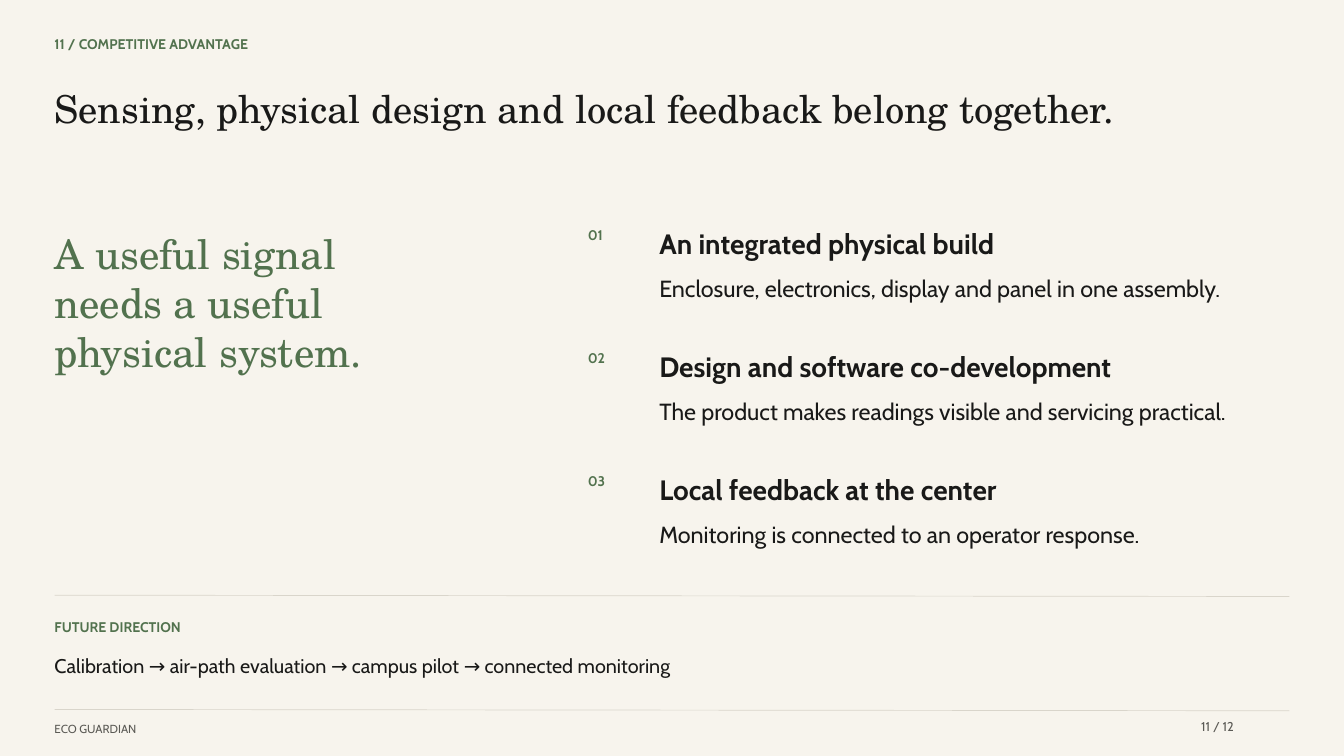
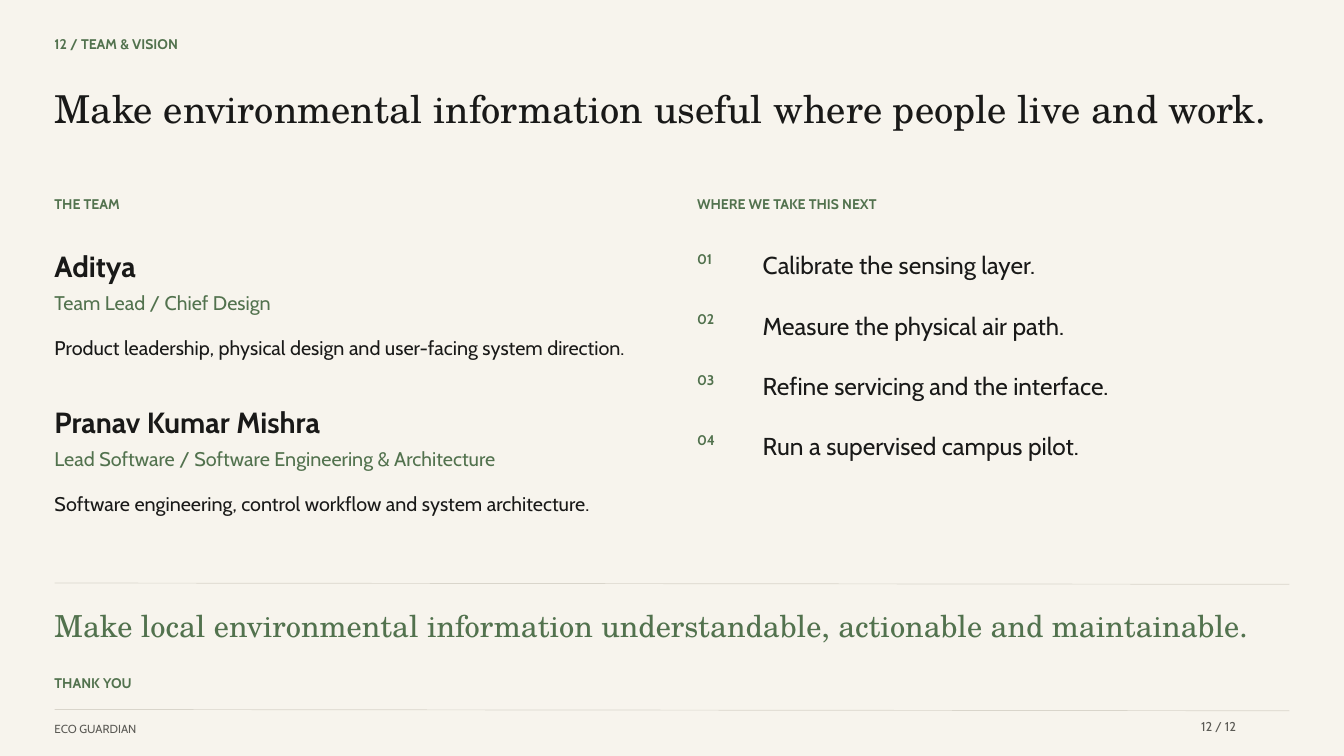
from dataclasses import dataclass

from lxml.etree import SubElement
from pptx import Presentation
from pptx.dml.color import RGBColor
from pptx.enum.shapes import MSO_CONNECTOR as Connector
from pptx.enum.text import MSO_ANCHOR as Anchor, MSO_AUTO_SIZE as AutoSize, PP_ALIGN as Align
from pptx.oxml.ns import qn
from pptx.util import Cm, Pt


@dataclass(frozen=True)
class Style:
    """Typeface, size, line spacing, colour and weight of a kind of text."""
    font: str
    size: float
    leading: float
    color: RGBColor
    bold: bool = False


class Theme:
    """Colours, type styles and shared edges of the deck."""
    PAPER = RGBColor.from_string("F7F4ED")
    INK = RGBColor.from_string("191918")
    GREEN = RGBColor.from_string("52724E")
    GREY = RGBColor.from_string("5B5A55")
    RULE = RGBColor.from_string("D9D5CB")
    SERIF = "TeX Gyre Schola"
    SANS = "Cabin"

    TITLE = Style(SERIF, 41.2, 49.5, INK)
    STATEMENT = Style(SERIF, 43.7, 52.5, GREEN)
    CLOSING = Style(SERIF, 32.5, 39, GREEN)
    LABEL = Style(SANS, 15, 18, GREEN, True)
    HEADING = Style(SANS, 30, 36, INK, True)
    DETAIL = Style(SANS, 25, 30, INK)
    PERSON = Style(SANS, 31.2, 37.5, INK, True)
    ROLE = Style(SANS, 21.2, 25.5, GREEN)
    BODY = Style(SANS, 21.2, 25.5, INK)
    STEP = Style(SANS, 26.2, 31.5, INK)
    FOOTER = Style(SANS, 12.5, 15, GREY)
    PAGE_NUMBER = Style(SANS, 13.7, 16.5, GREY)

    LEFT = 2.06
    WIDTH = 46.68
    RIGHT = LEFT + WIDTH
    LABEL_WIDTH = 44.45
    LABEL_HEIGHT = 1.12


PAGE_COUNT = 12

ADVANTAGES = [
    ("An integrated physical build",
     "Enclosure, electronics, display and panel in one assembly."),
    ("Design and software co-development",
     "The product makes readings visible and servicing practical."),
    ("Local feedback at the center",
     "Monitoring is connected to an operator response."),
]

TEAM = [
    ("Aditya", "Team Lead / Chief Design",
     "Product leadership, physical design and user-facing system direction."),
    ("Pranav Kumar Mishra", "Lead Software / Software Engineering & Architecture",
     "Software engineering, control workflow and system architecture."),
]

NEXT_STEPS = [
    "Calibrate the sensing layer.",
    "Measure the physical air path.",
    "Refine servicing and the interface.",
    "Run a supervised campus pilot.",
]


def fill_text(box, lines, style):
    """Write lines as paragraphs in one style, without insets."""
    frame = box.text_frame
    frame.text = "\n".join(lines)
    frame.word_wrap = True
    frame.auto_size = AutoSize.SHAPE_TO_FIT_TEXT
    frame.vertical_anchor = Anchor.TOP
    frame.margin_left = frame.margin_top = frame.margin_right = frame.margin_bottom = 0
    for para in frame.paragraphs:
        para.alignment = Align.LEFT
        para.line_spacing = Pt(style.leading)
        para.space_before = Pt(0)
        para.font.name = style.font
        para.font.size = Pt(style.size)
        para.font.bold = style.bold
        para.font.color.rgb = style.color


def add_text(page, left, top, width, height, style, *lines):
    """Add a text box measured in centimetres."""
    box = page.shapes.add_textbox(Cm(left), Cm(top), Cm(width), Cm(height))
    fill_text(box, lines, style)


def add_label(page, left, top, text, width=Theme.LABEL_WIDTH):
    """Add a small bold green label."""
    add_text(page, left, top, width, Theme.LABEL_HEIGHT, Theme.LABEL, text)


def add_rule(page, top):
    """Add the hairline that spans the content and falls very slightly."""
    rule = page.shapes.add_connector(
        Connector.STRAIGHT, Cm(Theme.LEFT), Cm(top), Cm(Theme.RIGHT), Cm(top + 0.05))
    rule.line.color.rgb = Theme.RULE
    rule.line.width = Pt(0.75)
    SubElement(rule._element.spPr, qn("a:effectLst"))


def add_page(deck, number, section, title):
    """Add a page with section label, title and footer."""
    page = deck.slides.add_slide(deck.slide_layouts.get_by_name("Title Only"))
    heading = page.shapes.title
    heading.left, heading.top = Cm(Theme.LEFT), Cm(3.2)
    heading.width, heading.height = Cm(Theme.WIDTH), Cm(3.4)
    fill_text(heading, [title], Theme.TITLE)
    add_label(page, Theme.LEFT, 1.35, f"{number} / {section}")
    add_rule(page, 26.82)
    add_text(page, Theme.LEFT, 27.28, 38.1, 0.66, Theme.FOOTER, "ECO GUARDIAN")
    add_text(page, 45.4, 27.18, 3.34, 0.81, Theme.PAGE_NUMBER, f"{number} / {PAGE_COUNT}")
    return page


def add_advantages(page, left, top, pitch):
    """Add the numbered advantages, each with a heading and a detail."""
    for index, (heading, detail) in enumerate(ADVANTAGES):
        row = top + index * pitch
        add_label(page, left, row, f"{index + 1:02}", 2.22)
        add_text(page, left + 2.7, row, 23.82, 1.93, Theme.HEADING, heading)
        add_text(page, left + 2.7, row + 1.81, 23.82, 2.29, Theme.DETAIL, detail)


def add_team(page, top, pitch):
    """Add each member's name, role and field of work."""
    for index, (name, role, work) in enumerate(TEAM):
        row = top + index * pitch
        add_text(page, Theme.LEFT, row, 22.22, 1.27, Theme.PERSON, name)
        add_text(page, Theme.LEFT, row + 1.6, 22.22, 1.78, Theme.ROLE, role)
        add_text(page, Theme.LEFT, row + 3.3, 22.22, 1.83, Theme.BODY, work)


def add_next_steps(page, left, top, pitch):
    """Add the numbered next steps."""
    for index, step in enumerate(NEXT_STEPS):
        row = top + index * pitch
        add_label(page, left, row, f"{index + 1:02}", 1.9)
        add_text(page, left + 2.48, row, 19.84, 1.78, Theme.STEP, step)


def build_advantage_page(deck):
    """Build the page on competitive advantage."""
    page = add_page(deck, 11, "COMPETITIVE ADVANTAGE",
                    "Sensing, physical design and local feedback belong together.")
    add_text(page, Theme.LEFT, 8.66, 19.05, 9.88, Theme.STATEMENT,
             "A useful signal", "needs a useful", "physical system.")
    add_advantages(page, 22.22, 8.57, 4.64)
    add_rule(page, 22.5)
    add_label(page, Theme.LEFT, 23.37, "FUTURE DIRECTION")
    add_text(page, Theme.LEFT, 24.71, Theme.WIDTH, 1.04, Theme.BODY,
             "Calibration → air-path evaluation → campus pilot → connected monitoring")


def build_team_page(deck):
    """Build the page on team and vision."""
    page = add_page(deck, 12, "TEAM & VISION",
                    "Make environmental information useful where people live and work.")
    add_label(page, Theme.LEFT, 7.39, "THE TEAM", 22.54)
    add_team(page, 9.4, 5.87)
    add_label(page, 26.35, 7.39, "WHERE WE TAKE THIS NEXT", 22.22)
    add_next_steps(page, 26.35, 9.47, 2.28)
    add_rule(page, 22.04)
    add_text(page, Theme.LEFT, 22.96, Theme.WIDTH, 2.08, Theme.CLOSING,
             "Make local environmental information understandable, actionable and maintainable.")
    add_label(page, Theme.LEFT, 25.5, "THANK YOU")


def main():
    """Build the deck and save it."""
    deck = Presentation()
    deck.slide_width, deck.slide_height = Cm(50.8), Cm(28.58)
    backdrop = deck.slide_master.background.fill
    backdrop.solid()
    backdrop.fore_color.rgb = Theme.PAPER
    build_advantage_page(deck)
    build_team_page(deck)
    deck.save("out.pptx")


if __name__ == "__main__":
    main()
